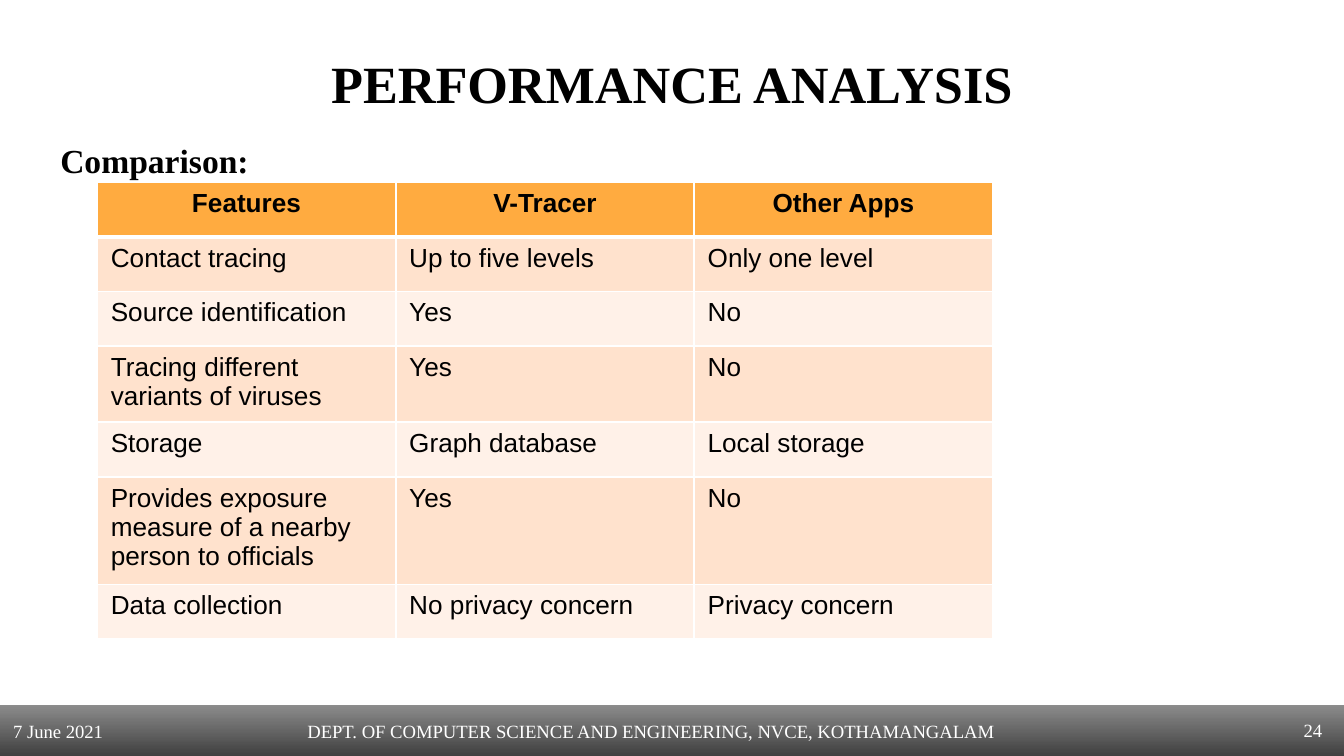
from typing import NamedTuple

from lxml.etree import SubElement
from pptx import Presentation
from pptx.dml.color import RGBColor
from pptx.enum.shapes import MSO_SHAPE
from pptx.enum.text import MSO_ANCHOR, PP_ALIGN
from pptx.oxml.ns import qn
from pptx.util import Cm, Pt

LEFT, CENTER, RIGHT = PP_ALIGN.LEFT, PP_ALIGN.CENTER, PP_ALIGN.RIGHT
TOP, MIDDLE, BOTTOM = MSO_ANCHOR.TOP, MSO_ANCHOR.MIDDLE, MSO_ANCHOR.BOTTOM
RECTANGLE = MSO_SHAPE.RECTANGLE

SERIF, SANS = "Times New Roman", "Arial"
BLACK, WHITE = "000000", "FFFFFF"
HEADER_FILL = "FFAB40"
BAND_FILLS = ("FFF1E8", "FFE2CD")
SLIDE_WIDTH, SLIDE_HEIGHT = 25.4, 14.29
FOOTER_TOP, FOOTER_HEIGHT = 13.32, 0.97
COLUMN_WIDTH, ROW_HEIGHT = 5.64, 1.03


class Comparison(NamedTuple):
    feature: str
    own_app: str
    other_apps: str


COMPARISONS = [
    Comparison("Features", "V-Tracer", "Other Apps"),
    Comparison("Contact tracing", "Up to five levels", "Only one level"),
    Comparison("Source identification", "Yes", "No"),
    Comparison("Tracing different variants of viruses", "Yes", "No"),
    Comparison("Storage", "Graph database", "Local storage"),
    Comparison("Provides exposure measure of a nearby person to officials", "Yes", "No"),
    Comparison("Data collection", "No privacy concern", "Privacy concern"),
]


def color(value: str) -> RGBColor:
    return RGBColor.from_string(value)


def write(frame, text: str, *, size: float, font: str = SERIF, ink: str = BLACK,
          bold: bool = False, align=LEFT, spacing: float = 1.0):
    paragraph = frame.paragraphs[0]
    paragraph.alignment = align
    paragraph.line_spacing = spacing
    run = paragraph.add_run()
    run.text = text
    run.font.name = font
    run.font.size = Pt(size)
    run.font.bold = bold
    run.font.color.rgb = color(ink)
    return paragraph


def set_frame(frame, anchor) -> None:
    frame.word_wrap = True
    frame.vertical_anchor = anchor
    frame.margin_left = frame.margin_right = Cm(0.25)
    frame.margin_top = frame.margin_bottom = Cm(0.25)


def add_text(slide, text: str, left: float, top: float, width: float, height: float,
             *, anchor=TOP, **text_format) -> None:
    box = slide.shapes.add_textbox(Cm(left), Cm(top), Cm(width), Cm(height))
    set_frame(box.text_frame, anchor)
    write(box.text_frame, text, **text_format)


def add_footer(slide, date: str, department: str) -> None:
    footer = slide.shapes.add_shape(
        RECTANGLE, 0, Cm(FOOTER_TOP), Cm(SLIDE_WIDTH), Cm(FOOTER_HEIGHT))
    footer.shadow.inherit = False
    footer.line.fill.background()
    footer.fill.gradient()
    footer.fill.gradient_angle = 270
    for stop, shade, position in zip(footer.fill.gradient_stops, ("8C8C8C", "404040"), (0, 1)):
        stop.color.rgb = color(shade)
        stop.position = position
    set_frame(footer.text_frame, BOTTOM)
    paragraph = write(footer.text_frame, f"{date}\t{department}", size=10, ink=WHITE)
    tabs = SubElement(paragraph._p.get_or_add_pPr(), qn("a:tabLst"))
    SubElement(tabs, qn("a:tab"), pos=str(Cm(5.56)), algn="l")


def set_borders(cell, top: float, bottom: float) -> None:
    properties = cell._tc.get_or_add_tcPr()
    for side, width in (("L", 1), ("R", 1), ("T", top), ("B", bottom)):
        line = SubElement(properties, qn(f"a:ln{side}"), w=str(Pt(width)))
        fill = SubElement(line, qn("a:solidFill"))
        SubElement(fill, qn("a:srgbClr"), val=WHITE)


def add_comparison_table(slide, left: float, top: float) -> None:
    rows, columns = len(COMPARISONS), len(Comparison._fields)
    table = slide.shapes.add_table(
        rows, columns, Cm(left), Cm(top),
        Cm(columns * COLUMN_WIDTH), Cm(rows * ROW_HEIGHT)).table
    table.horz_banding = False
    for column in table.columns:
        column.width = Cm(COLUMN_WIDTH)
    for index, comparison in enumerate(COMPARISONS):
        table.rows[index].height = Cm(ROW_HEIGHT)
        header = index == 0
        for cell, text in zip(table.rows[index].cells, comparison):
            set_borders(cell, top=3 if index == 1 else 1, bottom=3 if header else 1)
            cell.fill.solid()
            cell.fill.fore_color.rgb = color(HEADER_FILL if header else BAND_FILLS[index % 2])
            write(cell.text_frame, text, size=14, font=SANS, bold=header,
                  align=CENTER if header else LEFT)


def main() -> None:
    presentation = Presentation()
    presentation.slide_width = Cm(SLIDE_WIDTH)
    presentation.slide_height = Cm(SLIDE_HEIGHT)
    slide = presentation.slides.add_slide(presentation.slide_layouts[6])

    add_footer(slide, "7 June 2021",
               "DEPT. OF COMPUTER SCIENCE AND ENGINEERING, NVCE, KOTHAMANGALAM")
    add_text(slide, "PERFORMANCE ANALYSIS", 0.86, 0.71, 23.67, 1.6,
             size=28, bold=True, align=CENTER)
    add_text(slide, "Comparison:", 0.89, 2.29, 23.67, 10.49,
             size=18, bold=True, spacing=1.15)
    add_text(slide, "24", 23.72, FOOTER_TOP, 1.52, FOOTER_HEIGHT,
             anchor=MIDDLE, size=10, ink=WHITE, align=RIGHT)
    add_comparison_table(slide, 1.84, 3.45)

    presentation.save("out.pptx")


if __name__ == "__main__":
    main()
